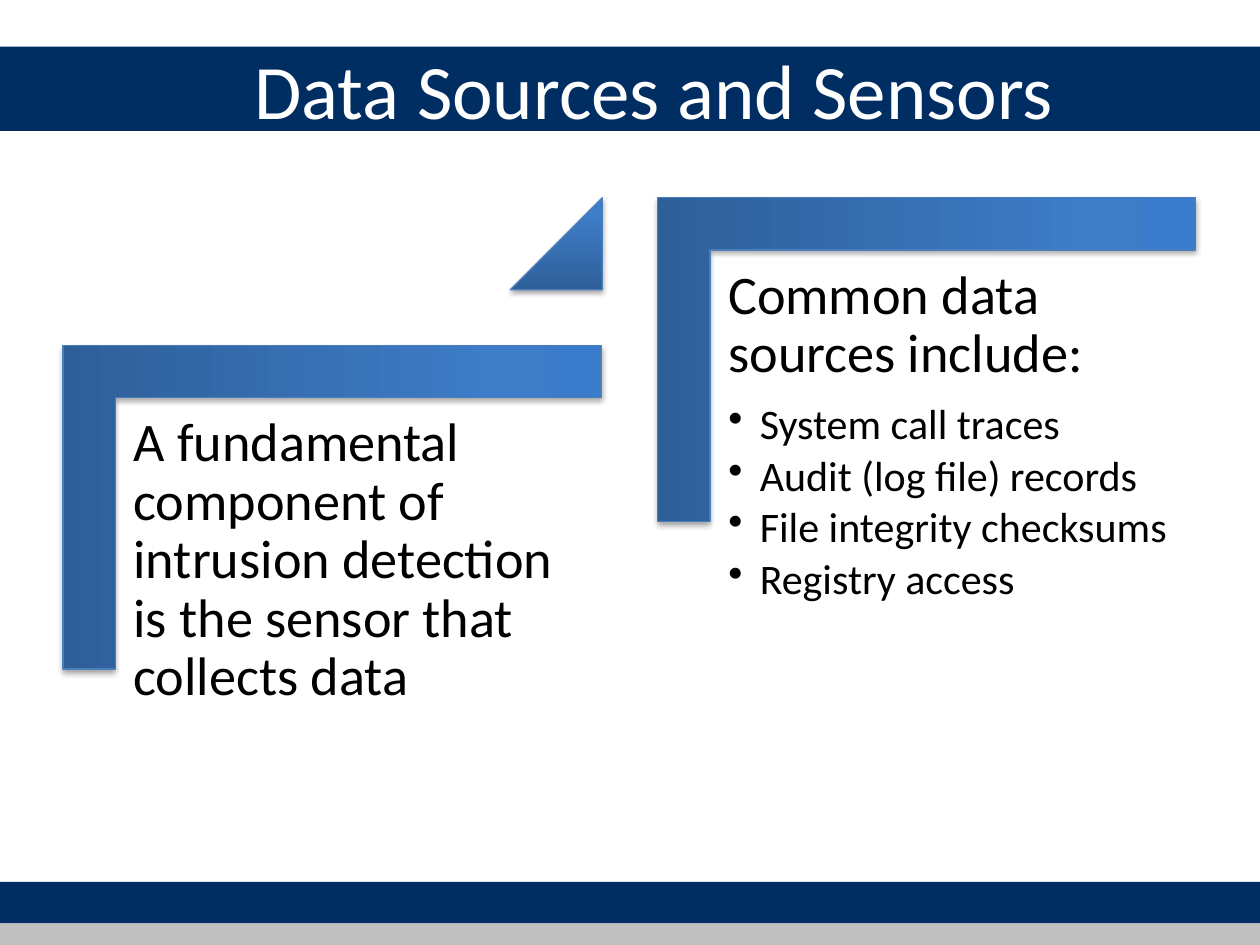
from copy import deepcopy

from lxml.etree import SubElement
from pptx import Presentation
from pptx.dml.color import RGBColor
from pptx.enum.shapes import MSO_SHAPE
from pptx.enum.text import MSO_ANCHOR
from pptx.oxml.ns import qn
from pptx.util import Inches, Pt

TITLE = "Data Sources and Sensors"
PANELS = [
    ("A fundamental component of intrusion detection is the sensor that collects data", []),
    ("Common data sources include:", [
        "System call traces",
        "Audit (log file) records",
        "File integrity checksums",
        "Registry access",
    ]),
]
THEME = {
    "font": "Calibri", "title": 44, "head": 31, "item": 24,
    "navy": "002E62", "silver": "C0C0C0", "white": "FFFFFF", "black": "000000",
    "edge": "4B7EBC", "grad": [(0, "2F5F99"), (0.8, "3D7CC7"), (1, "3A7CCB")],
}
BANDS = [(7, 0.33, "navy"), (0.37, 0.67, "navy"), (7.33, 0.17, "silver")]
CORNER_X, CORNER_Y, CORNER_W, CORNER_H = 1.35, 1.89, 2.57, 4.27
STEP_X, STEP_Y = 4.72, -1.17
TEXT_DX, TEXT_DY, TEXT_W, TEXT_H = -0.42, 1.27, 3.85, 3.38
TRIANGLE = (4.05, 1.57, 0.73, 0.73)


def rgb(name):
    return RGBColor.from_string(THEME.get(name, name))


def add_text(tf, text, size="head", color="black", spacing=None, after=None, bullet=False):
    p = tf.paragraphs[0] if not tf.text else tf.add_paragraph()
    pPr = p._p.get_or_add_pPr()
    if spacing:
        p.line_spacing = spacing
    if after:
        SubElement(SubElement(pPr, qn("a:spcAft")), qn("a:spcPct"), val=str(after * 1000))
    if bullet:
        p.level = 1
        pPr.set("marL", str(Inches(0.25)))
        pPr.set("indent", str(Inches(-0.25)))
        SubElement(pPr, qn("a:buChar"), char="•")
    r = p.add_run()
    r.text = text
    r.font.name = THEME["font"]
    r.font.size = Pt(THEME[size])
    r.font.color.rgb = rgb(color)


def add_box(s, box, inset=None, anchor=MSO_ANCHOR.TOP):
    tf = s.shapes.add_textbox(*map(Inches, box)).text_frame
    tf.word_wrap = True
    tf.vertical_anchor = anchor
    if inset:
        tf.margin_left = tf.margin_top = tf.margin_right = tf.margin_bottom = Inches(inset)
    return tf


def add_band(s, top, height, color):
    sp = s.shapes.add_shape(MSO_SHAPE.RECTANGLE, 0, Inches(top), Inches(10), Inches(height))
    sp.shadow.inherit = False
    sp.fill.solid()
    sp.fill.fore_color.rgb = rgb(color)
    sp.line.fill.background()


def add_accent(s, kind, box, adjustments, rotation=0):
    sp = s.shapes.add_shape(kind, *map(Inches, box))
    sp.rotation = rotation
    for i, value in enumerate(adjustments):
        sp.adjustments[i] = value
    sp.fill.gradient()
    sp.fill.gradient_angle = 90
    stops = sp._element.spPr.find(".//" + qn("a:gsLst"))
    stops.append(deepcopy(stops[-1]))
    for stop, (position, color) in zip(sp.fill.gradient_stops, THEME["grad"]):
        stop.position = position
        stop.color.rgb = rgb(color)
    sp.line.color.rgb = rgb("edge")
    sp.line.width = Pt(0.75)
    sp.shadow.inherit = False
    effects = sp._element.spPr.find(qn("a:effectLst"))
    shadow = SubElement(effects, qn("a:outerShdw"), blurRad=str(Pt(3.1)),
                        dist=str(Pt(1.8)), dir="5400000", rotWithShape="0")
    color = SubElement(shadow, qn("a:srgbClr"), val=THEME["black"])
    SubElement(color, qn("a:alpha"), val="35000")


def add_panel(s, i, head, items):
    x, y = CORNER_X + i * STEP_X, CORNER_Y + i * STEP_Y
    add_accent(s, MSO_SHAPE.CORNER, (x, y, CORNER_W, CORNER_H), (0.161, 0.161), 90)
    tf = add_box(s, (x + TEXT_DX, y + TEXT_DY, TEXT_W, TEXT_H), inset=0.13)
    add_text(tf, head, spacing=0.9, after=35)
    for item in items:
        add_text(tf, item, size="item", spacing=0.9, after=15, bullet=True)


def main():
    """Build the slide of stepped panels on data sources and sensors."""
    prs = Presentation()
    prs.slide_width, prs.slide_height = Inches(10), Inches(7.5)
    s = prs.slides.add_slide(prs.slide_layouts[6])
    for band in BANDS:
        add_band(s, *band)
    tf = add_box(s, (1.92, 0.08, 7.92, 1.25), anchor=MSO_ANCHOR.MIDDLE)
    add_text(tf, TITLE, size="title", color="white")
    for i, (head, items) in enumerate(PANELS):
        add_panel(s, i, head, items)
    add_accent(s, MSO_SHAPE.ISOSCELES_TRIANGLE, TRIANGLE, (1,))
    prs.save("out.pptx")


if __name__ == "__main__":
    main()
